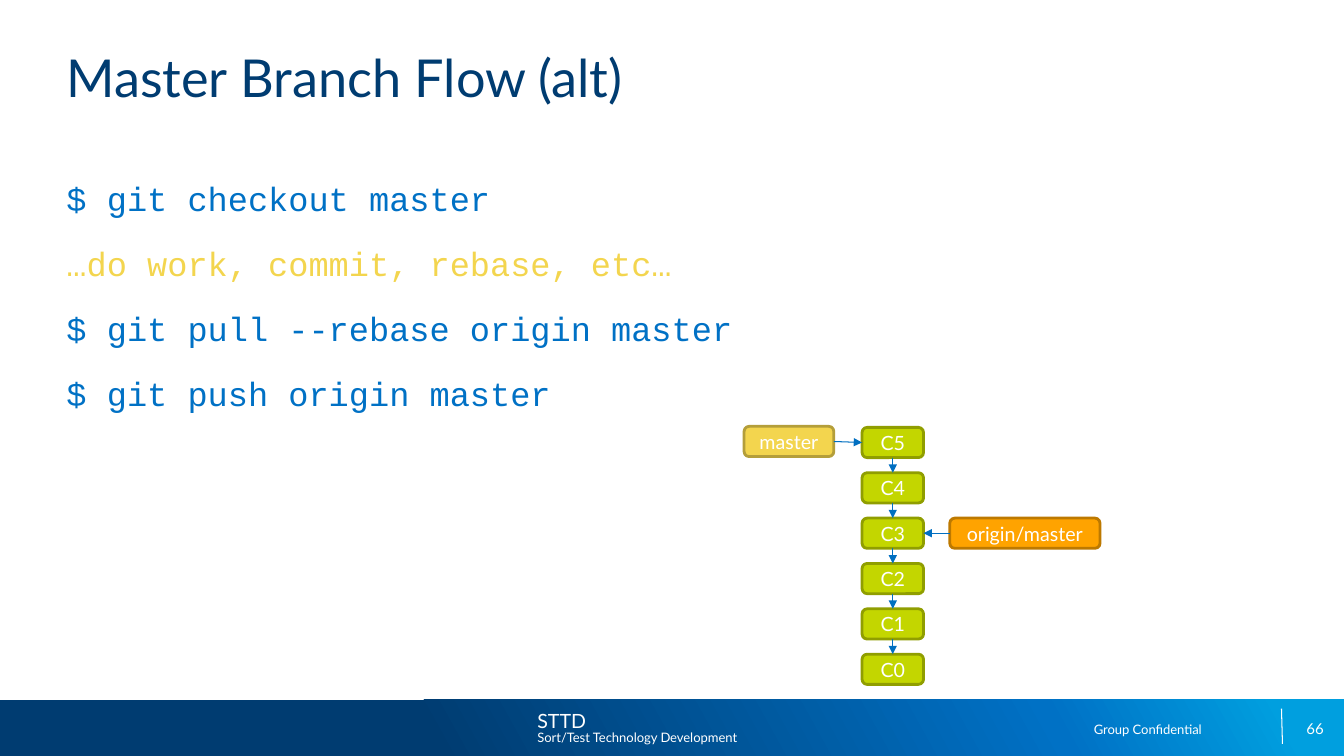
from copy import deepcopy
from typing import NamedTuple

from pptx import Presentation
from pptx.dml.color import RGBColor
from pptx.enum.shapes import MSO_CONNECTOR, MSO_SHAPE
from pptx.enum.text import MSO_ANCHOR, MSO_AUTO_SIZE, PP_ALIGN
from pptx.oxml.ns import qn
from pptx.util import Emu, Pt
from lxml.etree import SubElement

EMU_PER_PX = 9144  # 100 px to the inch
COLORS = {
    "navy": "003C71", "blue": "0071C5", "sky": "009FDF", "arrow": "006FC1",
    "yellow": "F3D54E", "yellow_edge": "B49E3A",
    "green": "C3D600", "green_edge": "909E00",
    "orange": "FFA300", "orange_edge": "BD7900", "white": "FFFFFF",
}
TOP, LEFT, BOTTOM, RIGHT = range(4)  # connection sites of a box


class Box(NamedTuple):
    x: int
    y: int
    w: int
    h: int


class Node(NamedTuple):
    label: str
    box: Box
    color: str


class Label(NamedTuple):
    text: str
    box: Box
    size: float
    align: PP_ALIGN = PP_ALIGN.LEFT
    anchor: MSO_ANCHOR = MSO_ANCHOR.TOP


class Command(NamedTuple):
    text: str
    color: str


def px(n: int) -> Emu:
    return Emu(n * EMU_PER_PX)


def place(box: Box) -> list[Emu]:
    return [px(n) for n in box]


def rgb(name: str) -> RGBColor:
    return RGBColor.from_string(COLORS[name])


def write(tf, text: str, *, size: float, color: str = "white", font: str = "Lato",
          align=PP_ALIGN.LEFT, anchor=MSO_ANCHOR.TOP, new: bool = False,
          before: float = 0, spacing: float = 1.0) -> None:
    """Put one formatted paragraph into a text frame."""
    tf.word_wrap = True
    tf.auto_size = MSO_AUTO_SIZE.NONE
    tf.vertical_anchor = anchor
    tf.margin_left = tf.margin_top = tf.margin_right = tf.margin_bottom = 0
    p = tf.add_paragraph() if new else tf.paragraphs[0]
    p.alignment = align
    p.space_before = Pt(before)
    p.line_spacing = spacing
    r = p.add_run()
    r.text = text
    r.font.size = Pt(size)
    r.font.name = font
    r.font.color.rgb = rgb(color)


def add_line(s, start: Box, end: Box, color: str):
    line = s.shapes.add_connector(MSO_CONNECTOR.STRAIGHT, px(start.x), px(start.y),
                                  px(end.x), px(end.y))
    line.line.color.rgb = rgb(color)
    line.line.width = Pt(0.75)
    SubElement(line._element.spPr, qn("a:effectLst"))
    return line


def add_arrow(s, source, source_site: int, target, target_site: int) -> None:
    origin = Box(0, 0, 0, 0)
    line = add_line(s, origin, origin, "arrow")
    line.begin_connect(source, source_site)
    line.end_connect(target, target_site)
    SubElement(line.line._get_or_add_ln(), qn("a:tailEnd"), type="triangle")


def add_node(s, node: Node):
    sp = s.shapes.add_shape(MSO_SHAPE.ROUNDED_RECTANGLE, *place(node.box))
    sp.shadow.inherit = False
    sp.fill.solid()
    sp.fill.fore_color.rgb = rgb(node.color)
    sp.line.color.rgb = rgb(f"{node.color}_edge")
    sp.line.width = Pt(2)
    write(sp.text_frame, node.label, size=14, align=PP_ALIGN.CENTER,
          anchor=MSO_ANCHOR.MIDDLE)
    return sp


def add_footer_bar(s) -> None:
    sp = s.shapes.add_shape(MSO_SHAPE.RECTANGLE, *place(Box(0, 694, 1333, 56)))
    sp.shadow.inherit = False
    sp.line.fill.background()
    sp.fill.gradient()
    sp.fill.gradient_angle = 29
    stops = sp._element.spPr.find(".//" + qn("a:gsLst"))
    stops.append(deepcopy(stops[0]))
    ramp = [("navy", 0.32), ("blue", 0.78), ("sky", 0.95)]
    for stop, (color, position) in zip(sp.fill.gradient_stops, ramp):
        stop.color.rgb = rgb(color)
        stop.position = position


FOOTER = [
    Label("STTD", Box(533, 703, 100, 24), 14),
    Label("Sort/Test Technology Development", Box(533, 724, 267, 16), 9.3),
    Label("Group Confidential", Box(1026, 716, 166, 16), 9.3, PP_ALIGN.RIGHT),
    Label("66", Box(1002, 703, 311, 40), 10.7, PP_ALIGN.RIGHT, MSO_ANCHOR.MIDDLE),
]
COMMANDS = [
    Command("$ git checkout master", "blue"),
    Command("…do work, commit, rebase, etc…", "yellow"),
    Command("$ git pull --rebase origin master", "blue"),
    Command("$ git push origin master", "blue"),
]
COMMIT_TOP, COMMIT_STEP = 424, 45
COMMITS = [Node(f"C{5 - i}", Box(855, COMMIT_TOP + i * COMMIT_STEP, 61, 30), "green")
           for i in range(6)]
MASTER = Node("master", Box(738, 423, 89, 30), "yellow")
ORIGIN = Node("origin/master", Box(942, 514, 149, 30), "orange")


def main() -> None:
    prs = Presentation()
    prs.slide_width, prs.slide_height = px(1333), px(750)
    s = prs.slides.add_slide(prs.slide_layouts[5])

    # Footer
    add_footer_bar(s)
    add_line(s, Box(1271, 703, 0, 0), Box(1272, 738, 0, 0), "white")
    for label in FOOTER:
        tb = s.shapes.add_textbox(*place(label.box))
        write(tb.text_frame, label.text, size=label.size, align=label.align,
              anchor=label.anchor)

    # Title
    title = s.shapes.title
    title.left, title.top, title.width, title.height = place(Box(66, 45, 1200, 127))
    write(title.text_frame, "Master Branch Flow (alt)", size=37.3, color="navy")

    # Commands
    tf = s.shapes.add_textbox(*place(Box(66, 175, 1200, 500))).text_frame
    for i, command in enumerate(COMMANDS):
        write(tf, command.text, size=24, color=command.color, font="Courier New",
              new=i > 0, before=16 if i else 0, spacing=1.05)

    # Commit chain with its branch pointers
    commits = [add_node(s, node) for node in COMMITS]
    for child, parent in zip(commits, commits[1:]):
        add_arrow(s, child, BOTTOM, parent, TOP)
    add_arrow(s, add_node(s, MASTER), RIGHT, commits[0], LEFT)
    add_arrow(s, add_node(s, ORIGIN), LEFT, commits[2], RIGHT)

    prs.save("out.pptx")


if __name__ == "__main__":
    main()
